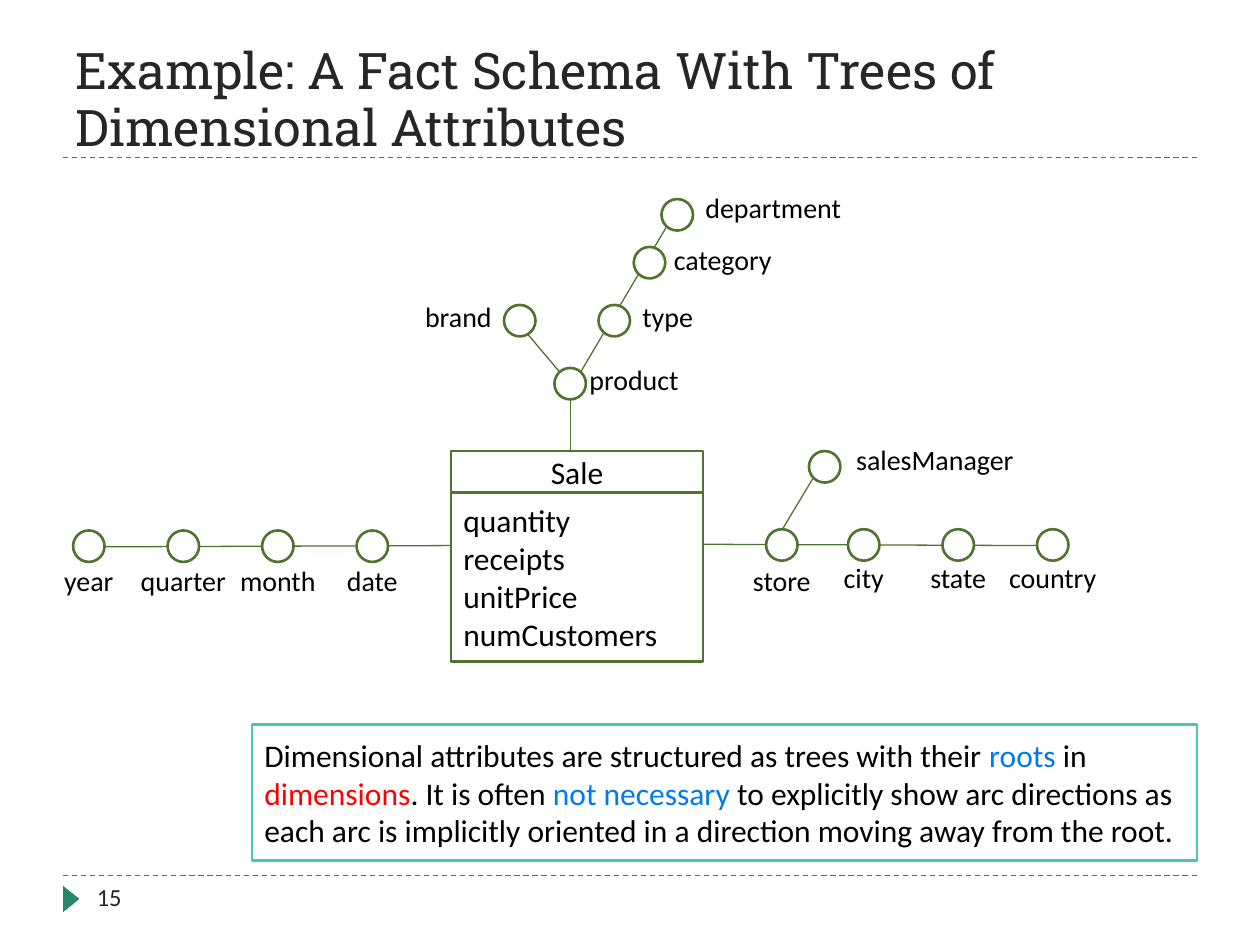
from pptx import Presentation
from pptx.util import Inches, Pt
from pptx.dml.color import RGBColor as Rgb
from pptx.enum.dml import MSO_LINE as Dash
from pptx.enum.shapes import MSO_SHAPE as Kind, MSO_CONNECTOR as Conn
from pptx.enum.text import PP_ALIGN as Align, MSO_ANCHOR as Anchor
from pptx.oxml.ns import qn
from lxml import etree

HUES = {"ink": "000000", "title": "262626", "white": "FFFFFF", "rule": "268868",
        "node": "50742F", "note": "4BC5B9", "blue": "0078F0", "red": "FF0000"}
DOT = 0.25
LABEL = (0.92, 0.37)


def hue(name):
    return Rgb.from_string(HUES[name])


def box(x, y, w, h):
    return [Inches(v) for v in (x, y, w, h)]


def add_run(para, text, size, color="ink", font="Calibri"):
    run = para.add_run()
    run.text = text
    run.font.name = font
    run.font.size = Pt(size)
    run.font.color.rgb = hue(color)


def add_line(slide, x1, y1, x2, y2, color="node", dash=False):
    line = slide.shapes.add_connector(Conn.STRAIGHT, *box(x1, y1, x2, y2))
    line.line.color.rgb = hue(color)
    line.line.width = Pt(0.75)
    if dash:
        line.line.dash_style = Dash.DASH
    etree.SubElement(line._element.spPr, qn("a:effectLst"))


def add_form(slide, kind, x, y, w, h, edge="node", fill="white"):
    form = slide.shapes.add_shape(kind, *box(x, y, w, h))
    form.shadow.inherit = False
    form.fill.solid()
    form.fill.fore_color.rgb = hue(fill)
    if edge:
        form.line.color.rgb = hue(edge)
        form.line.width = Pt(1.5)
    else:
        form.line.fill.background()
    return form


def add_panel(slide, x, y, w, h, paras, edge="node", align=Align.LEFT):
    frame = add_form(slide, Kind.RECTANGLE, x, y, w, h, edge).text_frame
    frame.word_wrap = True
    frame.vertical_anchor = Anchor.MIDDLE
    for i, runs in enumerate(paras):
        para = frame.add_paragraph() if i else frame.paragraphs[0]
        para.alignment = align
        for text, color in runs:
            add_run(para, text, 18, color)


def add_label(slide, x, y, w, h, text, align=Align.LEFT, size=16, color="ink"):
    frame = slide.shapes.add_textbox(*box(x, y, w, h)).text_frame
    frame.word_wrap = True
    para = frame.paragraphs[0]
    para.alignment = align
    add_run(para, text, size, color)


def add_dot(slide, x, y):
    add_form(slide, Kind.OVAL, x, y, DOT, DOT)


def add_title(slide, x, y, w, h, text):
    title = slide.shapes.title
    title.left, title.top, title.width, title.height = box(x, y, w, h)
    frame = title.text_frame
    frame.word_wrap = True
    frame.vertical_anchor = Anchor.BOTTOM
    frame.margin_bottom = 0
    para = frame.paragraphs[0]
    para.alignment = Align.LEFT
    para.line_spacing = 0.93
    add_run(para, text, 28.8, "title", "Roboto Slab")
    add_line(slide, x, y + h, x + w, y + h, "rule", True)


def add_footer(slide, x, y, w, number):
    add_line(slide, x, y, x + w, y, "rule", True)
    mark = add_form(slide, Kind.ISOSCELES_TRIANGLE, x - 0.04, y + 0.12, 0.21, 0.13, None, "rule")
    mark.rotation = 90
    add_label(slide, x + 0.17, y, 2.17, 0.4, number, size=14, color="title")


def add_row(slide, y, nodes):
    for x, name, drop in nodes:
        add_dot(slide, x, y)
        add_label(slide, x + (DOT - LABEL[0]) / 2, y + drop, *LABEL, name, Align.CENTER)


def add_date(slide, x, y, w):
    add_line(slide, x + DOT, y + 0.13, x + w, y + 0.12)
    names = ["year", "quarter", "month", "date"]
    add_row(slide, y, [(x + 0.75 * i, name, 0.21) for i, name in enumerate(names)])


def add_store(slide, x, y, w):
    add_line(slide, x, y + 0.12, x + w, y + 0.13)
    add_line(slide, x + 0.87, y - 0.4, x + 0.63, y)
    names = ["city", "state", "country"]
    add_row(slide, y, [(x + 0.5, "store", 0.22)]
            + [(x + 1.15 + 0.75 * i, name, 0.2) for i, name in enumerate(names)])
    add_dot(slide, x + 0.84, y - 0.62)
    add_label(slide, x + 1.09, y - 0.74, 1.5, 0.37, "salesManager", Align.CENTER)


def add_product(slide, x, y):
    add_line(slide, x + 1.42, y, x + 0.61, y + 1.37)
    add_line(slide, x + 0.17, y + 1.05, x + 0.44, y + 1.37)
    add_line(slide, x + 0.53, y + 1.59, x + 0.53, y + 2)
    nodes = [(0.4, 1.34, "product", 0.18, -0.09, 0.92),
             (0.75, 0.84, "type", 0.25, -0.09, 0.92),
             (1.03, 0.38, "category", 0.22, -0.08, 1.25),
             (1.25, 0, "department", 0.25, -0.12, 1.42)]
    for dx, dy, name, right, up, w in nodes:
        add_dot(slide, x + dx, y + dy)
        add_label(slide, x + dx + right, y + dy + up, w, 0.37, name)
    add_dot(slide, x, y + 0.84)
    add_label(slide, x - LABEL[0], y + 0.75, *LABEL, "brand", Align.RIGHT)


def add_fact(slide, x, y, w):
    add_panel(slide, x, y, w, 0.33, [[("Sale", "ink")]], align=Align.CENTER)
    names = ["quantity", "receipts", "unitPrice", "numCustomers"]
    add_panel(slide, x, y + 0.33, w, 1.34, [[(name, "ink")] for name in names])


def add_note(slide, x, y, w, h):
    runs = [("Dimensional attributes are structured as trees with their ", "ink"),
            ("roots", "blue"), (" in ", "ink"), ("dimensions", "red"),
            (". It is often ", "ink"), ("not necessary ", "blue"),
            ("to explicitly show arc directions as each arc is implicitly oriented "
             "in a direction moving away from the root.", "ink")]
    add_panel(slide, x, y, w, h, [runs], "note")


def main():
    deck = Presentation()
    deck.slide_width, deck.slide_height = Inches(10), Inches(7.5)
    slide = deck.slides.add_slide(deck.slide_layouts[5])
    add_title(slide, 0.5, 0.25, 9, 1,
              "Example: A Fact Schema With Trees of Dimensional Attributes")
    add_footer(slide, 0.5, 6.95, 9, "15")
    add_date(slide, 0.58, 4.21, 3)
    add_store(slide, 5.58, 4.2, 2.65)
    add_product(slide, 4, 1.58)
    add_fact(slide, 3.58, 3.58, 2)
    add_note(slide, 2, 5.75, 7.5, 1.08)
    deck.save("out.pptx")


if __name__ == "__main__":
    main()
